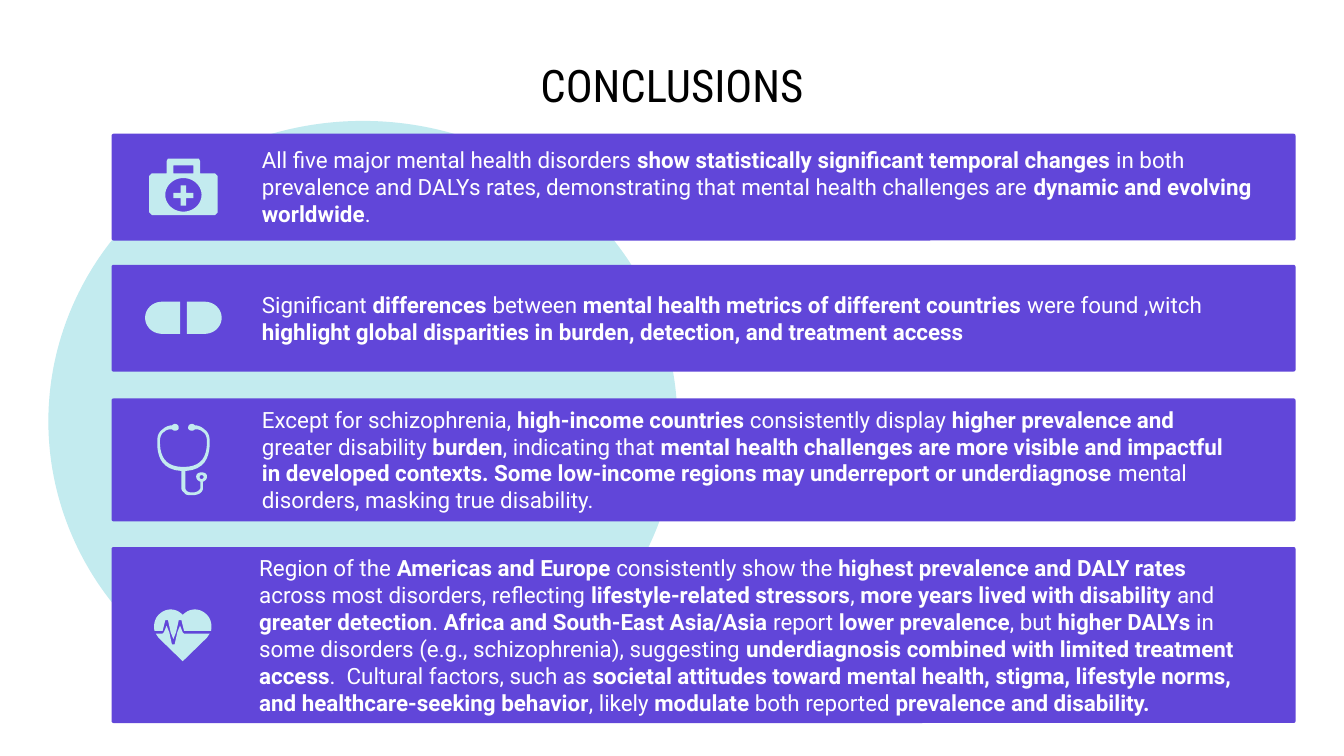
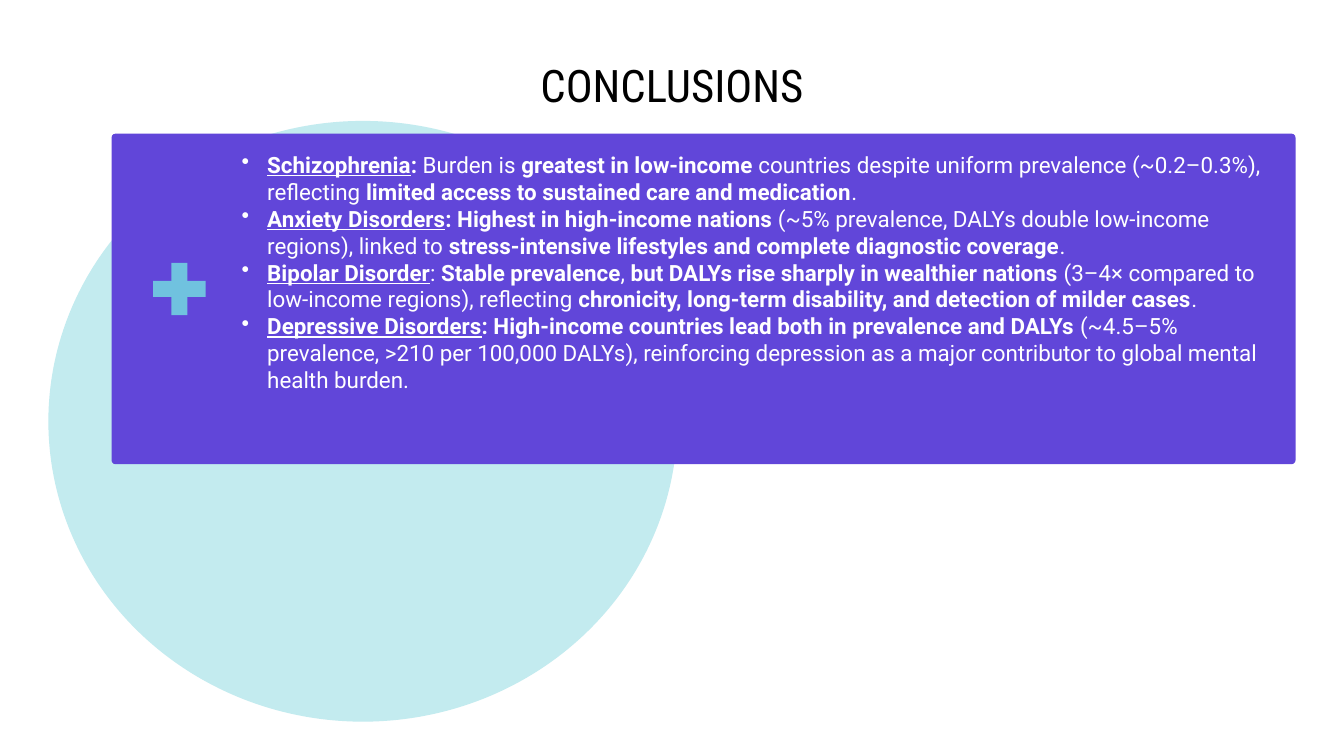
import math

import lxml.etree
import pptx
import pptx.dml.color
import pptx.enum.shapes
import pptx.enum.text
import pptx.oxml.ns
import pptx.util

PX = 4572  # EMU in one px, 200 px to the inch
SLIDE_W, SLIDE_H = 2000, 1125

PURPLE, PALE, SKY = "6146D9", "C3EBEF", "70C2DF"
WHITE, BLACK = "FFFFFF", "000000"
BODY_FONT, TITLE_FONT = "Roboto", "Roboto Condensed"

CARD_X, CARD_W = 166, 1762
INSET = 20
ICON_X = 107  # icon centre, from the card's left side
LINE_H = 40

SHAPE = pptx.enum.shapes.MSO_SHAPE
ALIGN = pptx.enum.text.PP_ALIGN

# Card top, height, text offset, text width, text (** switches bold)
CARDS = [
    (199, 159, 204, 1560,
     "All five major mental health disorders **show statistically significant "
     "temporal changes **in both prevalence and DALYs rates, demonstrating that "
     "mental health challenges are **dynamic and evolving worldwide**."),
    (394, 159, 204, 1498,
     "Significant **differences** between **mental health metrics of different "
     "countries **were found ,witch **highlight global disparities in burden, "
     "detection, and treatment access"),
    (593, 183, 204, 1498,
     "Except for schizophrenia, **high-income countries **consistently display "
     "**higher prevalence and **greater disability **burden**, indicating that "
     "**mental health challenges are more visible and impactful in developed "
     "contexts. Some low-income regions may underreport or underdiagnose **mental "
     "disorders, masking true disability."),
    (814, 262, 200, 1498,
     "Region of the **Americas and Europe **consistently show the **highest "
     "prevalence and DALY rates **across most disorders, reflecting "
     "**lifestyle-related stressors**, **more years lived with disability **and "
     "**greater detection**. **Africa and South-East Asia/Asia **report **lower "
     "prevalence**, but **higher DALYs **in some disorders (e.g., schizophrenia), "
     "suggesting **underdiagnosis combined with limited treatment access**.  "
     "Cultural factors, such as **societal attitudes toward mental health, stigma, "
     "lifestyle norms, and healthcare-seeking behavior**, likely **modulate** both "
     "reported **prevalence and disability."),
]

DISORDERS = [
    ("Schizophrenia",
     "**: **Burden is **greatest in low-income **countries despite uniform "
     "prevalence (~0.2–0.3%), reflecting **limited access to sustained care and "
     "medication**."),
    ("Anxiety Disorders",
     "**: Highest in high-income nations **(~5% prevalence, DALYs double low-income "
     "regions), linked to **stress-intensive lifestyles and complete diagnostic "
     "coverage**."),
    ("Bipolar Disorder",
     ": **Stable prevalence**, **but DALYs rise sharply in wealthier nations **(3–4× "
     "compared to low-income regions), reflecting **chronicity, long-term "
     "disability, and detection of milder cases**."),
    ("Depressive Disorders",
     "**: High-income countries lead both in prevalence and DALYs **(~4.5–5% "
     "prevalence, >210 per 100,000 DALYs), reinforcing depression as a major "
     "contributor to global mental health burden."),
]


def px(n):
    return pptx.util.Emu(round(n * PX))


def color(value):
    return pptx.dml.color.RGBColor.from_string(value)


def paint(sp, fill):
    sp.shadow.inherit = False
    sp.fill.solid()
    sp.fill.fore_color.rgb = color(fill)
    sp.line.fill.background()


def add_box(slide, kind, x, y, w, h, fill):
    sp = slide.shapes.add_shape(kind, px(x), px(y), px(w), px(h))
    paint(sp, fill)
    return sp


def add_text(slide, x, y, w, h, bottom=INSET):
    tf = slide.shapes.add_textbox(px(x), px(y), px(w), px(h)).text_frame
    tf.word_wrap = True
    tf.vertical_anchor = pptx.enum.text.MSO_ANCHOR.MIDDLE
    tf.margin_left = tf.margin_top = tf.margin_right = px(INSET)
    tf.margin_bottom = px(bottom)
    return tf


def add_run(p, text, size=12, font=BODY_FONT, fill=WHITE, bold=False, underline=False):
    r = p.add_run()
    r.text = text
    r.font.size = pptx.util.Pt(size)
    r.font.name = font
    r.font.color.rgb = color(fill)
    r.font.bold = bold
    r.font.underline = underline


def add_marked_runs(p, text):
    for i, part in enumerate(text.split("**")):
        if part:
            add_run(p, part, bold=i % 2 == 1)


def set_bullet(p, indent):
    ns = pptx.oxml.ns.qn
    pPr = p._p.get_or_add_pPr()
    pPr.set("marL", str(px(indent)))
    pPr.set("indent", str(-px(indent)))
    clr = lxml.etree.SubElement(pPr, ns("a:buClr"))
    lxml.etree.SubElement(clr, ns("a:srgbClr")).set("val", WHITE)
    lxml.etree.SubElement(pPr, ns("a:buChar")).set("char", "•")


# Outlines, as lists of points around an icon's centre

def flatten(steps, n=10):
    """Turn corners (x, y) and cubic curves (x1, y1, x2, y2, x, y) into points."""
    pts = []
    for step in steps:
        if len(step) == 2:
            pts.append(step)
            continue
        ends = [pts[-1], step[:2], step[2:4], step[4:]]
        for i in range(1, n + 1):
            t = i / n
            weights = ((1 - t) ** 3, 3 * t * (1 - t) ** 2, 3 * t * t * (1 - t), t ** 3)
            pts.append(tuple(sum(k * e[axis] for k, e in zip(weights, ends))
                             for axis in (0, 1)))
    return pts


def ellipse(cx, cy, rx, ry, n=40):
    return [(cx + rx * math.cos(2 * math.pi * i / n),
             cy + ry * math.sin(2 * math.pi * i / n)) for i in range(n)]


def mirrored(half):
    return half + [(-x, y) for x, y in reversed(half)]


def add_outline(slide, cx, cy, contours, fill=PALE):
    fb = None
    for contour in contours:
        pts = [(px(cx + x), px(cy + y)) for x, y in contour]
        if fb is None:
            fb = slide.shapes.build_freeform(*pts[0], scale=1.0)
        else:
            fb.move_to(*pts[0])
        fb.add_line_segments(pts[1:], close=True)
    paint(fb.convert_to_shape(), fill)


# Icons

def add_medical_kit(slide, cx, cy):
    case = mirrored([(-23, -42), (-25, -38), (-25, -20), (-47, -20), (-51, -16),
                     (-51, 38), (-47, 42)])
    handle = mirrored([(-15, -32), (-15, -20)])
    cross = mirrored([(-4, -2), (-4, 9), (-15, 9), (-15, 17), (-4, 17), (-4, 28)])
    add_outline(slide, cx, cy, [case, handle, ellipse(0, 12, 27, 25), cross])


def add_pill(slide, cx, cy):
    half = flatten([(-5, -24), (-31, -24), (-46, -24, -57, -13, -57, 0),
                    (-57, 13, -46, 24, -31, 24), (-5, 24)])
    for side in (1, -1):
        add_outline(slide, cx, cy, [[(side * x, y) for x, y in half]])


def add_stethoscope(slide, cx, cy):
    tube = flatten([
        # left ear piece and tube
        (-13, -53), (-15, -53, -17, -51, -17, -51), (-21, -51, -27, -49, -31, -45),
        (-37, -41, -39, -35, -39, -27), (-39, -15, -39, 15, -3, 17),
        # stem and chest piece
        (-3, 43), (-3, 43, -3, 47, 1, 49), (3, 53, 7, 53, 13, 53),
        (29, 53, 29, 43, 29, 43), (29, 33), (33, 31, 35, 29, 35, 25),
        (35, 21, 31, 19, 27, 19), (23, 19, 19, 21, 19, 25), (19, 29, 21, 31, 25, 33),
        (25, 43), (25, 43, 23, 49, 13, 49), (3, 49, 3, 43, 3, 43), (3, 17),
        # right tube and ear piece
        (39, 15, 39, -15, 39, -27), (39, -35, 37, -41, 31, -45),
        (27, -49, 21, -51, 17, -51), (17, -51, 15, -53, 13, -53),
        (9, -53, 7, -51, 7, -47), (7, -45, 9, -43, 13, -43),
        # inner side
        (15, -43, 17, -45, 17, -45), (21, -45, 25, -45, 29, -41),
        (33, -39, 35, -33, 35, -27), (35, -7, 29, 11, 0, 11),
        (-29, 11, -35, -7, -35, -27), (-35, -33, -33, -39, -29, -41),
        (-25, -45, -21, -45, -17, -45), (-17, -45, -15, -43, -13, -43),
        (-9, -43, -7, -45, -7, -47), (-7, -51, -9, -53, -13, -53)])
    add_outline(slide, cx, cy, [tube, ellipse(27, 26, 3, 3)])


def add_heart(slide, cx, cy):
    lower = [(-25, -14), (-29, -4), (-31, -2), (-41, -2), (-37, 4), (-1, 39), (35, 4),
             (39, -2), (1, -2), (-1, -4), (-5, -14), (-9, -4), (-13, 14), (-17, 14),
             (-21, -4)]
    upper = flatten([
        (-19, -38), (-25, -38, -31, -36, -37, -30), (-43, -24, -45, -14, -43, -6),
        (-31, -6), (-27, -22), (-23, -22), (-19, -4), (-15, 6), (-11, -4), (-7, -22),
        (-3, -22), (1, -6), (41, -6), (43, -14, 41, -24, 35, -30),
        (29, -36, 23, -38, 17, -38), (11, -38, 5, -36, -1, -30),
        (-7, -36, -13, -38, -19, -38)])
    for part in (lower, upper):
        add_outline(slide, cx, cy, [part])


def add_plus(slide, cx, cy, length=78, thick=24):
    for w, h in ((thick, length), (length, thick)):
        add_box(slide, SHAPE.RECTANGLE, cx - w // 2, cy - h // 2, w, h, SKY)


# Slide parts

def add_base(prs):
    """Blank slide with the title and the pale disc."""
    slide = prs.slides.add_slide(prs.slide_layouts[6])
    p = add_text(slide, 100, 90, 1800, 72).paragraphs[0]
    p.alignment = ALIGN.CENTER
    add_run(p, "CONCLUSIONS", 24, TITLE_FONT, BLACK)
    add_box(slide, SHAPE.OVAL, 72, 180, 936, 894, PALE)
    return slide


def add_card(slide, y, h, radius):
    sp = add_box(slide, SHAPE.ROUNDED_RECTANGLE, CARD_X, y, CARD_W, h, PURPLE)
    sp.adjustments[0] = radius / h


def add_finding(slide, y, h, text_dx, text_w, text, add_icon):
    add_card(slide, y, h, 3)
    mid = y + h // 2
    tf = add_text(slide, CARD_X + text_dx, mid - 60, text_w, 120)
    add_marked_runs(tf.paragraphs[0], text)
    add_icon(slide, CARD_X + ICON_X, mid)


def add_disorders(slide, y, h):
    add_card(slide, y, h, 6)
    # The deeper bottom margin lifts the list by one line
    tf = add_text(slide, CARD_X + 174, y - 18, 1560, h + 36, INSET + 2 * LINE_H)
    for i, (name, text) in enumerate(DISORDERS):
        p = tf.add_paragraph() if i else tf.paragraphs[0]
        set_bullet(p, 38)
        add_run(p, name, bold=True, underline=True)
        add_marked_runs(p, text)
    add_plus(slide, CARD_X + ICON_X - 6, y + h // 2 - 15)


def main():
    prs = pptx.Presentation()
    prs.slide_width, prs.slide_height = px(SLIDE_W), px(SLIDE_H)

    slide = add_base(prs)
    icons = (add_medical_kit, add_pill, add_stethoscope, add_heart)
    for card, add_icon in zip(CARDS, icons):
        add_finding(slide, *card, add_icon)

    add_disorders(add_base(prs), 199, 492)
    prs.save("out.pptx")


if __name__ == "__main__":
    main()
